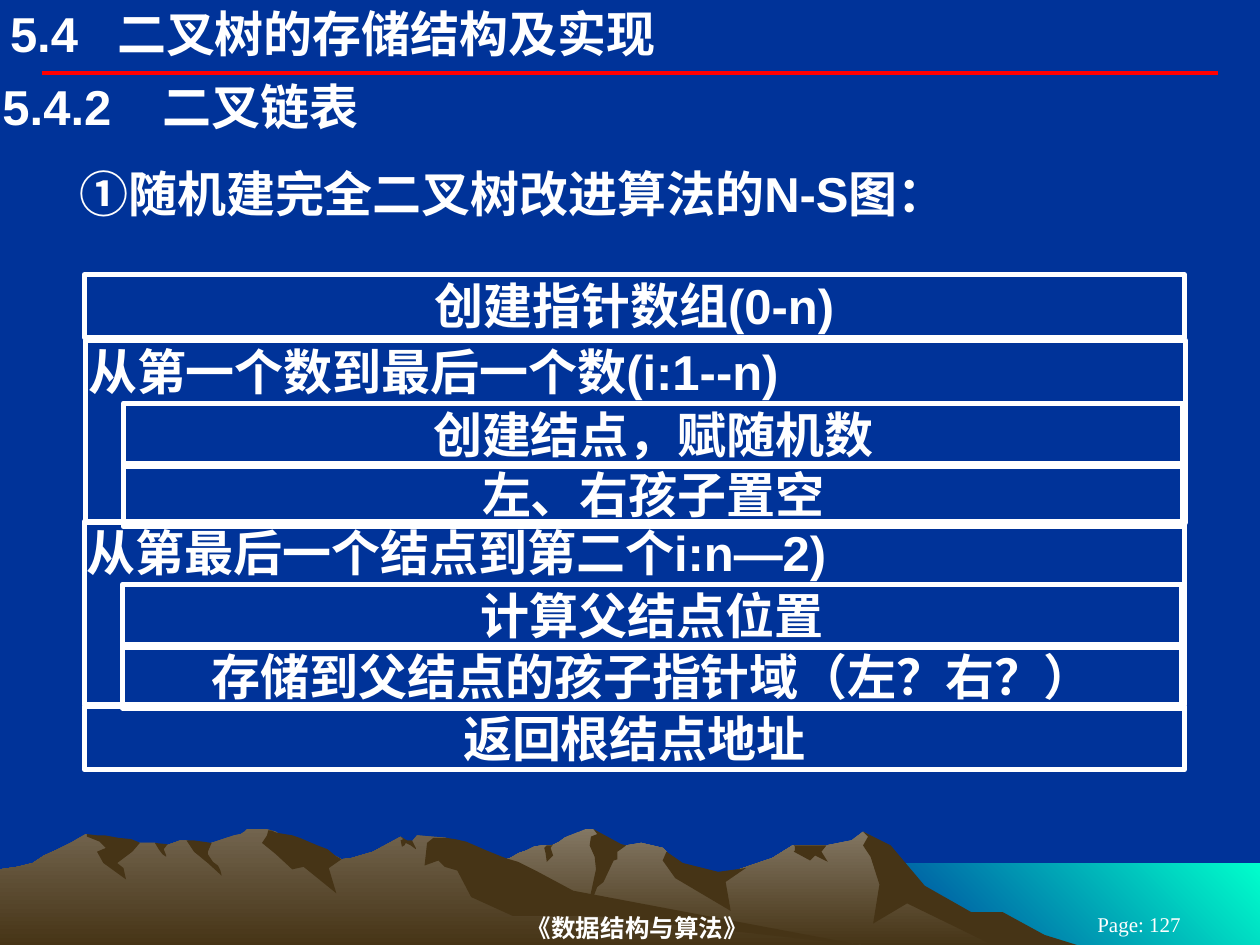
from lxml.etree import SubElement
from pptx import Presentation
from pptx.dml.color import RGBColor
from pptx.enum.shapes import MSO_CONNECTOR, MSO_SHAPE
from pptx.enum.text import MSO_ANCHOR as Anchor, PP_ALIGN as Align
from pptx.oxml.ns import qn
from pptx.util import Inches, Pt

COLORS = {
    "background": "003399", "text": "FFFFFF", "rule": "FF0000", "sea": "00FFCC",
    "far_peak": "837763", "near_peak": "72644E", "shade": "463416",
}

# Outlines in hundredths of an inch.
SEA = [(1000, 752), (683, 752), (683, 685), (1000, 685)]
FAR_RANGE = [
    (802, 740), (778, 727), (764, 723), (723, 698), (702, 671), (685, 660), (676, 667),
    (656, 671), (629, 671), (613, 681), (566, 697), (536, 690), (529, 676), (526, 673),
    (509, 669), (497, 671), (486, 673), (474, 661), (471, 658), (465, 658), (450, 664),
    (448, 665), (444, 668), (438, 671), (430, 671), (424, 672), (418, 675), (412, 677),
    (405, 681), (399, 683), (394, 685), (355, 698), (327, 709), (277, 739), (258, 751),
    (821, 751)]
NEAR_RANGE = [
    (690, 751), (667, 748), (432, 712), (354, 665), (331, 663), (327, 668), (323, 668),
    (318, 664), (296, 676), (279, 681), (271, 682), (260, 676), (236, 681), (223, 663),
    (219, 660), (215, 659), (212, 658), (196, 658), (194, 660), (191, 662), (186, 663),
    (180, 665), (168, 669), (160, 671), (148, 667), (143, 667), (132, 671), (128, 671),
    (123, 669), (111, 669), (94, 671), (68, 662), (56, 669), (50, 672), (46, 674),
    (35, 679), (26, 685), (14, 688), (0, 690), (0, 751)]
FAR_SHADES = [
    [(796, 724), (771, 724), (734, 703), (707, 671), (685, 660), (689, 664), (685, 671),
     (691, 680), (698, 702), (693, 733), (720, 717), (792, 752), (858, 751), (829, 742)],
    [(471, 658), (474, 662), (469, 664), (468, 671), (472, 680), (473, 690), (465, 727),
     (474, 704), (479, 700), (487, 683), (490, 682), (490, 676), (497, 671), (493, 670)],
    [(529, 676), (526, 683), (536, 697), (580, 723), (576, 700), (592, 689), (570, 692),
     (542, 685)],
    [(650, 671), (630, 671), (631, 672), (631, 675), (630, 676), (643, 683), (647, 679),
     (657, 684), (652, 676), (656, 671)],
    [(433, 677), (432, 673), (434, 671), (438, 671), (439, 670), (437, 673), (439, 679),
     (434, 684)],
]
NEAR_SHADES = [
    [(212, 663), (208, 669), (219, 678), (232, 690), (241, 688), (267, 709), (261, 689),
     (271, 682), (266, 679), (260, 674), (252, 671), (245, 668), (238, 665), (232, 663),
     (226, 662), (220, 661), (215, 659), (213, 659)],
    [(370, 668), (361, 666), (354, 665), (344, 665), (339, 669), (337, 687), (348, 683),
     (353, 688), (363, 691), (374, 712), (407, 727), (472, 727), (690, 751), (683, 750),
     (455, 707), (427, 692), (411, 684), (401, 681), (386, 675)],
    [(318, 667), (320, 666), (318, 664), (323, 667), (327, 667), (330, 673), (330, 674),
     (326, 671), (322, 669), (321, 671), (319, 672)],
    [(154, 667), (161, 668), (168, 669), (165, 676), (165, 678), (169, 684), (173, 687),
     (175, 691), (176, 695), (165, 685), (154, 676), (148, 667)],
    [(133, 670), (130, 674), (132, 679), (132, 680), (129, 678), (126, 674), (123, 669)],
    [(109, 668), (111, 669), (105, 676), (93, 685), (98, 689), (100, 698), (82, 685),
     (77, 676), (84, 673), (79, 668), (69, 664), (69, 662), (77, 663), (83, 663),
     (94, 665), (104, 666)],
]


def rgb(name):
    return RGBColor.from_string(COLORS[name])


class SlideBuilder:
    margin_x, margin_y = Inches(0.02), Inches(0.01)

    def __init__(self, slide):
        self.slide = slide
        slide.background.fill.solid()
        slide.background.fill.fore_color.rgb = rgb("background")

    def outline(self, points, color, end_color=None, angle=270):
        """Fill a closed outline, as a gradient when end_color is given."""
        builder = self.slide.shapes.build_freeform(*points[0], scale=Inches(0.01))
        builder.add_line_segments(points[1:], close=True)
        shape = builder.convert_to_shape()
        shape.shadow.inherit = False
        shape.line.fill.background()
        if end_color is None:
            shape.fill.solid()
            shape.fill.fore_color.rgb = rgb(color)
            return
        shape.fill.gradient()
        shape.fill.gradient_angle = angle
        for stop, name in zip(shape.fill.gradient_stops, (color, end_color)):
            stop.color.rgb = rgb(name)

    def rule(self, left, right, y):
        line = self.slide.shapes.add_connector(
            MSO_CONNECTOR.STRAIGHT, Inches(left), Inches(y), Inches(right), Inches(y))
        line.line.color.rgb = rgb("rule")
        line.line.width = Pt(2.25)
        SubElement(line._element.spPr, qn("a:effectLst"))

    def set_text(self, shape, text, size=28, font="Arial", bold=True, align=Align.LEFT,
                 anchor=Anchor.TOP, tab=None, indent=None):
        frame = shape.text_frame
        frame.word_wrap = True
        frame.vertical_anchor = anchor
        frame.margin_left = frame.margin_right = self.margin_x
        frame.margin_top = frame.margin_bottom = self.margin_y
        paragraph = frame.paragraphs[0]
        paragraph.text = text
        paragraph.alignment = align
        properties = paragraph._p.get_or_add_pPr()
        if indent is not None:
            properties.set("marL", str(Inches(indent)))
            properties.set("indent", "0")
        if tab is not None:
            tabs = SubElement(properties, qn("a:tabLst"))
            SubElement(tabs, qn("a:tab"), pos=str(Inches(tab)), algn="l")
        paragraph.font.size = Pt(size)
        paragraph.font.name = font
        paragraph.font.bold = bold
        paragraph.font.color.rgb = rgb("text")

    def text(self, text, left, top, width, height, **style):
        box = self.slide.shapes.add_textbox(
            Inches(left), Inches(top), Inches(width), Inches(height))
        self.set_text(box, text, **style)

    def step(self, text, left, top, width=8.73, height=0.5, align=Align.CENTER):
        box = self.slide.shapes.add_shape(
            MSO_SHAPE.RECTANGLE, Inches(left), Inches(top), Inches(width), Inches(height))
        box.shadow.inherit = False
        box.fill.background()
        box.line.color.rgb = rgb("text")
        box.line.width = Pt(3)
        self.set_text(box, text, align=align)

    def loop(self, condition, body, left, top):
        """Draw a loop block with its body steps indented inside it."""
        self.step(condition, left, top, height=1.45, align=Align.LEFT)
        for row, text in enumerate(body):
            self.step(text, left + 0.3, top + 0.5 + 0.48 * row, width=8.41)


def main():
    presentation = Presentation()
    presentation.slide_width, presentation.slide_height = Inches(10), Inches(7.5)
    page = SlideBuilder(presentation.slides.add_slide(presentation.slide_layouts[6]))

    page.outline(SEA, "sea", "background", angle=225)
    for mountains, color, shades in ((FAR_RANGE, "far_peak", FAR_SHADES),
                                     (NEAR_RANGE, "near_peak", NEAR_SHADES)):
        page.outline(mountains, color, "shade")
        for shade in shades:
            page.outline(shade, "shade")
    page.rule(0.33, 9.67, 0.58)

    footer = dict(font="Times New Roman", align=Align.CENTER, anchor=Anchor.MIDDLE)
    page.text("《数据结构与算法》", 2.03, 7.22, 6.06, 0.28, size=14, **footer)
    page.text("Page: 127", 8.25, 7.25, 1.58, 0.17, size=12, bold=False, **footer)

    page.text("5.4\t二叉树的存储结构及实现", 0.06, 0.02, 6.5, 0.49, tab=0.85)
    page.text("5.4.2\t二叉链表", 0, 0.6, 10, 0.49, tab=1.27)
    page.text("①随机建完全二叉树改进算法的N-S图：", 0, 1.29, 9.96, 0.49, indent=0.61)

    page.step("创建指针数组(0-n)", 0.67, 2.18)
    page.loop("从第一个数到最后一个数(i:1--n)",
              ["创建结点，赋随机数", "左、右孩子置空"], 0.68, 2.7)
    page.loop("从第最后一个结点到第二个i:n—2)",
              ["计算父结点位置", "存储到父结点的孩子指针域（左？右？）"], 0.67, 4.14)
    page.step("返回根结点地址", 0.67, 5.61)

    presentation.save("out.pptx")


if __name__ == "__main__":
    main()
